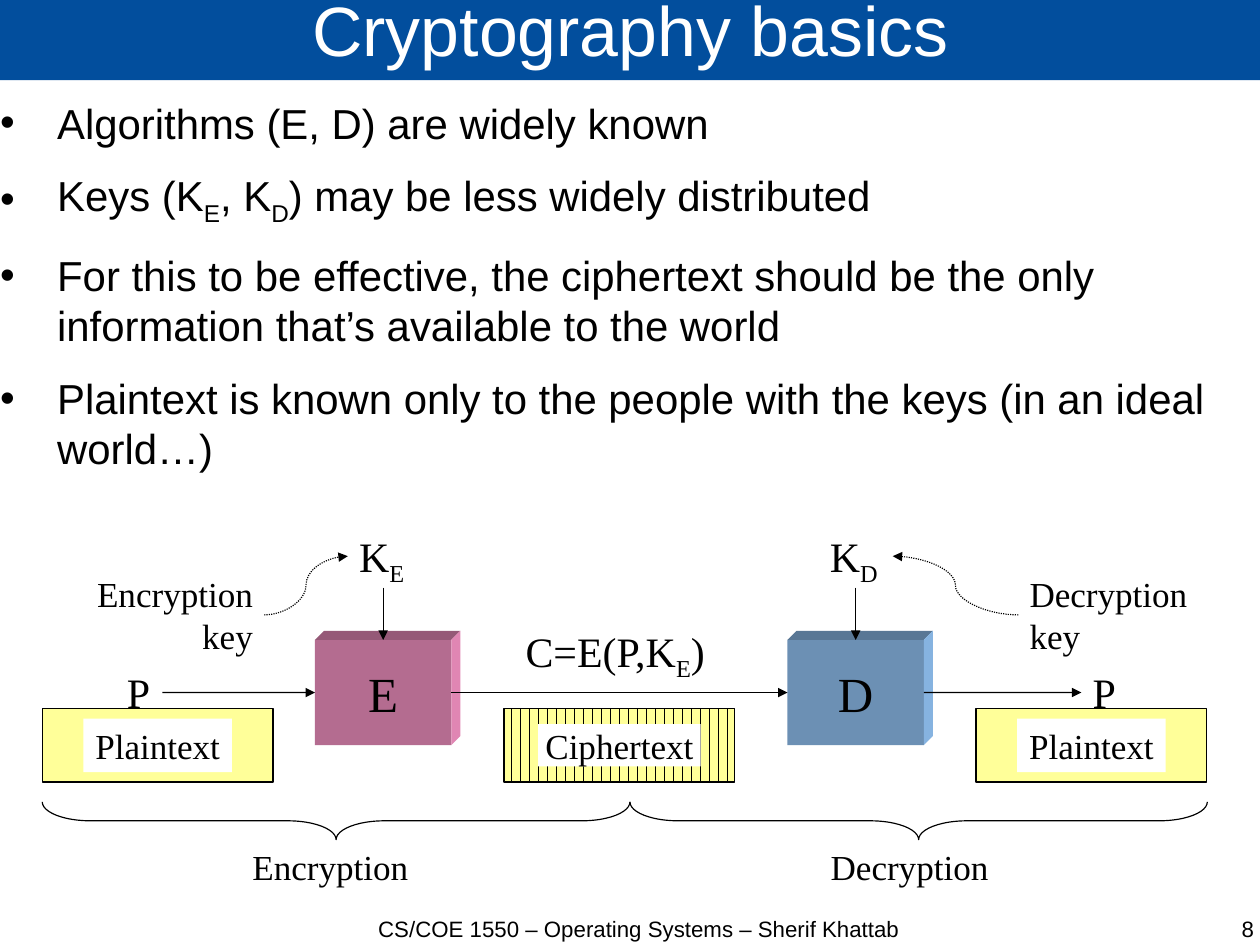
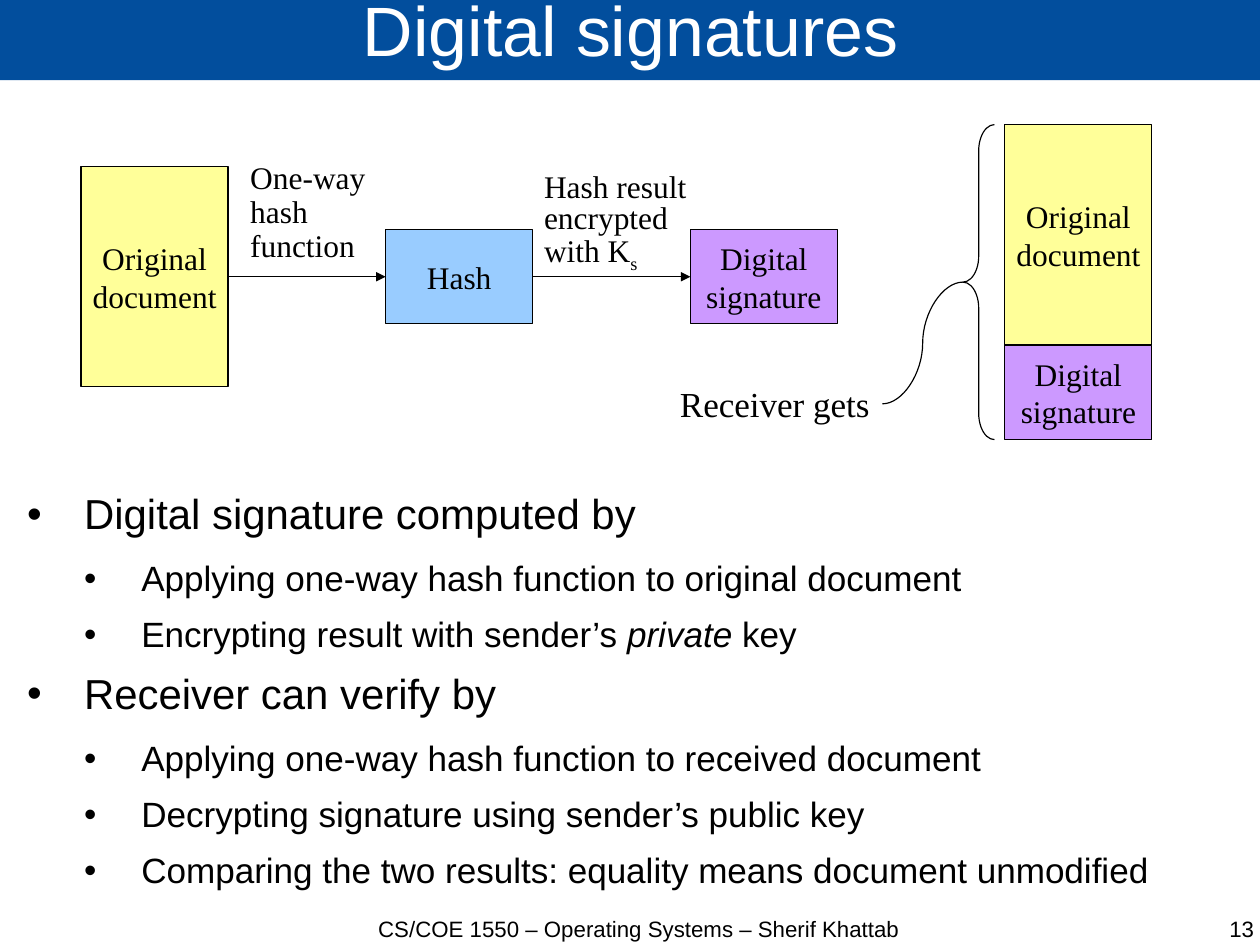
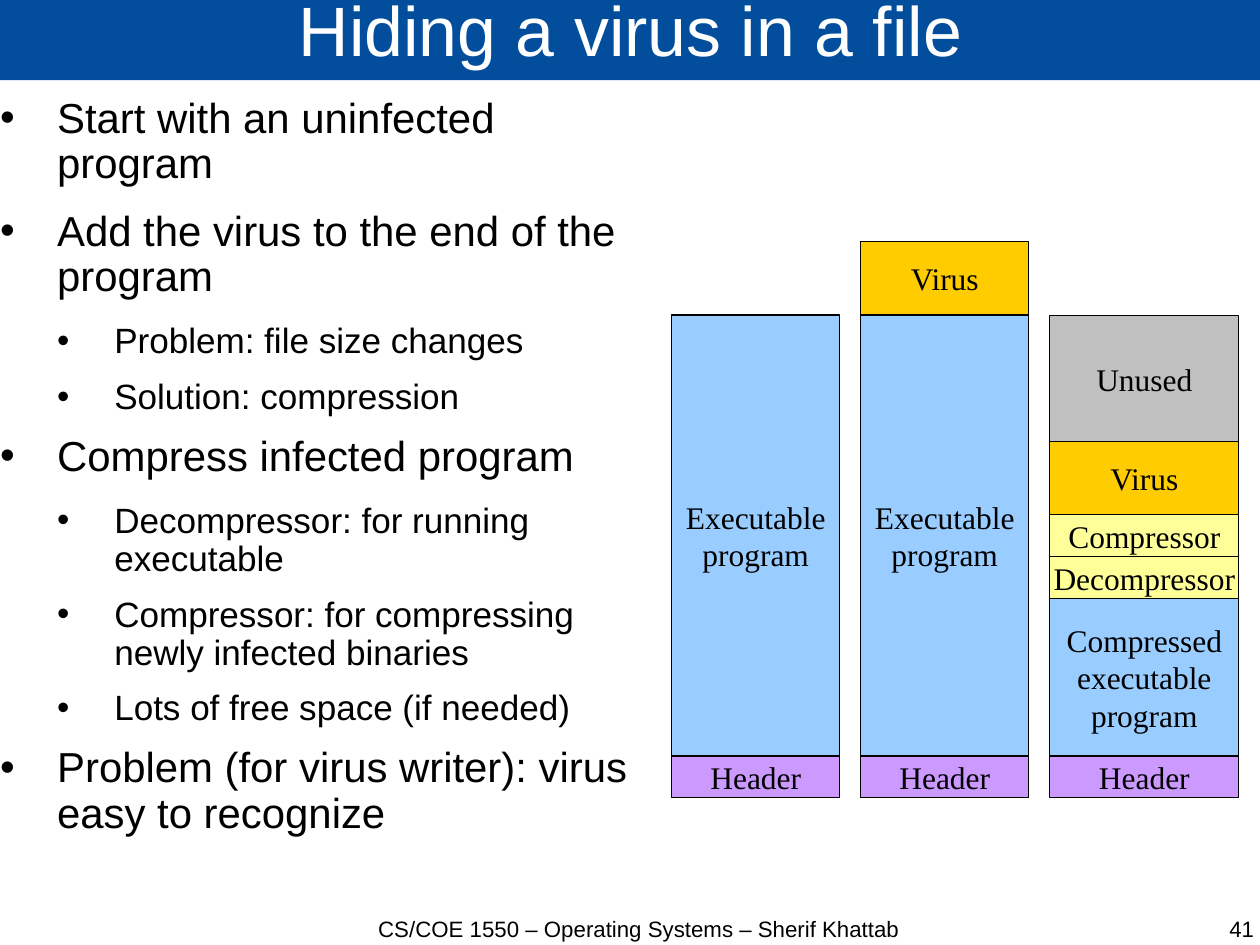
from lxml import etree
from pptx import Presentation
from pptx.dml.color import RGBColor
from pptx.enum.dml import MSO_LINE, MSO_PATTERN
from pptx.enum.shapes import MSO_CONNECTOR, MSO_SHAPE
from pptx.enum.text import MSO_ANCHOR, MSO_AUTO_SIZE, PP_ALIGN
from pptx.oxml.ns import qn
from pptx.util import Cm, Pt

LEFT, CENTER, RIGHT = PP_ALIGN.LEFT, PP_ALIGN.CENTER, PP_ALIGN.RIGHT
TOP, MIDDLE = MSO_ANCHOR.TOP, MSO_ANCHOR.MIDDLE
FIXED, GROW = MSO_AUTO_SIZE.NONE, MSO_AUTO_SIZE.SHAPE_TO_FIT_TEXT
STRAIGHT, CURVE = MSO_CONNECTOR.STRAIGHT, MSO_CONNECTOR.CURVE
RECTANGLE, LEFT_BRACE = MSO_SHAPE.RECTANGLE, MSO_SHAPE.LEFT_BRACE
DOTTED, STRIPES = MSO_LINE.ROUND_DOT, MSO_PATTERN.DARK_VERTICAL
SITE_TOP, SITE_LEFT, SITE_BOTTOM, SITE_RIGHT = range(4)

BLACK = RGBColor(0x00, 0x00, 0x00)
WHITE = RGBColor(0xFF, 0xFF, 0xFF)
BAND_BLUE = RGBColor(0x02, 0x4E, 0x9D)
YELLOW = RGBColor(0xFF, 0xFF, 0x99)
SKY = RGBColor(0x99, 0xCC, 0xFF)
VIOLET = RGBColor(0xCC, 0x99, 0xFF)
GOLD = RGBColor(0xFF, 0xCC, 0x00)
GREY = RGBColor(0xC0, 0xC0, 0xC0)
# Front, top and side of each solid block
PINK_FACES = (RGBColor(0xB4, 0x6C, 0x90), RGBColor(0x95, 0x59, 0x77), RGBColor(0xE0, 0x86, 0xB3))
BLUE_FACES = (RGBColor(0x6C, 0x90, 0xB4), RGBColor(0x59, 0x77, 0x95), RGBColor(0x86, 0xB3, 0xE0))

SANS, SERIF = "Arial", "Times New Roman"
FOOTER = "CS/COE 1550 – Operating Systems – Sherif Khattab"
LEVELS = ((26.4, 14.2), (22.1, 11.4))  # text size and space after
SYMBOL, CAPTION, BOX_TEXT = 26.4, 22.1, 19.8

# Content: _x_ is a subscript, *x* is italic; list items are (level, text)
BASICS = [
    (0, "Algorithms (E, D) are widely known"),
    (0, "Keys (K_E_, K_D_) may be less widely distributed"),
    (0, "For this to be effective, the ciphertext should be the only information "
        "that’s available to the world"),
    (0, "Plaintext is known only to the people with the keys (in an ideal world…)"),
]
SIGNATURES = [
    (0, "Digital signature computed by"),
    (1, "Applying one-way hash function to original document"),
    (1, "Encrypting result with sender’s *private* key"),
    (0, "Receiver can verify by"),
    (1, "Applying one-way hash function to received document"),
    (1, "Decrypting signature using sender’s public key"),
    (1, "Comparing the two results: equality means document unmodified"),
]
HIDING = [
    (0, "Start with an uninfected program"),
    (0, "Add the virus to the end of the program"),
    (1, "Problem: file size changes"),
    (1, "Solution: compression"),
    (0, "Compress infected program"),
    (1, "Decompressor: for running executable"),
    (1, "Compressor: for compressing newly infected binaries"),
    (1, "Lots of free space (if needed)"),
    (0, "Problem (for virus writer): virus easy to recognize"),
]
# File layouts: width, then parts from the bottom up (text, height, colour)
HEADER = ("Header", 0.93, VIOLET)
PROGRAM = ("Executable\nprogram", 9.8, SKY)
VIRUS = ("Virus", 1.63, GOLD)
FILES = [
    (3.73, [HEADER, PROGRAM]),
    (3.73, [HEADER, PROGRAM, VIRUS]),
    (4.2, [HEADER, ("Compressed\nexecutable\nprogram", 3.5, SKY),
           ("Decompressor", 0.93, YELLOW), ("Compressor", 0.93, YELLOW),
           VIRUS, ("Unused", 2.8, GREY)]),
]


def write(paragraph, text, size, font=SERIF, color=BLACK, align=LEFT, spacing=None):
    """Fill a paragraph, turning the marks into subscripts and italics."""
    paragraph.alignment = align
    if spacing:
        paragraph.line_spacing = spacing
    for row, line in enumerate(text.split("\n")):
        if row:
            paragraph.add_line_break()
        for i, part in enumerate(line.split("_")):
            for j, piece in enumerate(part.split("*")):
                if not piece:
                    continue
                run = paragraph.add_run()
                run.text = piece
                run.font.size, run.font.name = Pt(size), font
                run.font.color.rgb = color
                if i % 2:
                    run.font._element.set("baseline", "-25000")
                if j % 2:
                    run.font.italic = True


def set_frame(frame, wrap, anchor=TOP, fit=FIXED, inset=None):
    frame.word_wrap, frame.vertical_anchor, frame.auto_size = wrap, anchor, fit
    if inset is not None:
        frame.margin_left = frame.margin_right = Cm(inset)
        frame.margin_top = frame.margin_bottom = 0


def place(shape, left, top, width, height):
    shape.left, shape.top, shape.width, shape.height = map(Cm, (left, top, width, height))


def label(slide, left, top, width, height, text, size, **style):
    text_box = slide.shapes.add_textbox(*map(Cm, (left, top, width, height)))
    set_frame(text_box.text_frame, False, fit=GROW)
    write(text_box.text_frame.paragraphs[0], text, size, **style)
    return text_box


def outline(shape, color=BLACK):
    shape.shadow.inherit = False
    if color is None:
        shape.line.fill.background()
    else:
        shape.line.color.rgb, shape.line.width = color, Pt(0.75)


def box(slide, left, top, width, height, fill, text="", size=BOX_TEXT, border=BLACK):
    rectangle = slide.shapes.add_shape(RECTANGLE, *map(Cm, (left, top, width, height)))
    rectangle.fill.solid()
    rectangle.fill.fore_color.rgb = fill
    outline(rectangle, border)
    if text:
        set_frame(rectangle.text_frame, False, MIDDLE)
        write(rectangle.text_frame.paragraphs[0], text, size, align=CENTER)
    return rectangle


def brace(slide, left, top, width, height, bend, rotation=0):
    curly = slide.shapes.add_shape(LEFT_BRACE, *map(Cm, (left, top, width, height)))
    curly.rotation, curly.adjustments[0] = rotation, bend
    curly.fill.background()
    outline(curly)
    return curly


def site_point(shape, site):
    across, down = ((0.5, 0), (0, 0.5), (0.5, 1), (1, 0.5))[site]
    return int(shape.left + across * shape.width), int(shape.top + down * shape.height)


def link(slide, start, start_site, end, end_site, kind=STRAIGHT, arrow=True):
    """Draw a line between two side middles; straight ones are joined."""
    line = slide.shapes.add_connector(
        kind, *site_point(start, start_site), *site_point(end, end_site))
    line.line.color.rgb, line.line.width = BLACK, Pt(0.75)
    if kind == STRAIGHT:
        line.begin_connect(start, start_site)
        line.end_connect(end, end_site)
    elif arrow:
        line.line.dash_style = DOTTED
    if arrow:
        etree.SubElement(line.line._get_or_add_ln(), qn("a:tailEnd"), type="triangle")
    etree.SubElement(line._element.spPr, qn("a:effectLst"))


def new_slide(deck, title, number, items, body_at, spacing=None):
    """Title band, bulleted body, footer and slide number."""
    slide = deck.slides.add_slide(deck.slide_layouts[1])
    band, body = slide.shapes.title, slide.placeholders[1]
    place(band, 0, -0.05, 28.04, 1.83)
    band.fill.solid()
    band.fill.fore_color.rgb = BAND_BLUE
    set_frame(band.text_frame, True, MIDDLE, inset=0)
    write(band.text_frame.paragraphs[0], title, 44, SANS, WHITE, CENTER, 0.69)

    place(body, *body_at)
    set_frame(body.text_frame, True, inset=0)
    for i, (level, text) in enumerate(items):
        item = body.text_frame.add_paragraph() if i else body.text_frame.paragraphs[0]
        size, after = LEVELS[level]
        item.level, item.space_before, item.space_after = level, 0, Pt(after)
        write(item, text, size, SANS, spacing=spacing)
        properties = item._p.get_or_add_pPr()
        properties.set("marL", str(Cm(1.27 * (level + 1))))
        properties.set("indent", str(-Cm(1.27)))
        etree.SubElement(properties, qn("a:buChar"), char="•")

    for left, width, text, align in ((7.8, 12.8, FOOTER, CENTER),
                                     (21.44, 6.43, number, RIGHT)):
        note = slide.shapes.add_textbox(*map(Cm, (left, 20.35, width, 0.65)))
        set_frame(note.text_frame, True, inset=0)
        write(note.text_frame.paragraphs[0], text, 14, SANS, align=align)
    return slide


def solid_block(slide, left, text, faces):
    """Front face with a narrow top and right side."""
    top, width, height, depth = 14.22, 3.03, 2.34, 0.2
    right, bottom = left + width, top + height
    front = box(slide, left, top, width, height, faces[0], text, 30.9, None)
    back_corner = (right + depth, top - depth)
    sides = (
        [(left, top), (left + depth, top - depth), back_corner, (right, top)],
        [(right, top), back_corner, (right + depth, bottom - depth), (right, bottom)],
    )
    for corners, color in zip(sides, faces[1:]):
        points = [(Cm(x), Cm(y)) for x, y in corners]
        builder = slide.shapes.build_freeform(*points[0])
        builder.add_line_segments(points[1:])
        side = builder.convert_to_shape()
        side.fill.solid()
        side.fill.fore_color.rgb = color
        outline(side, None)
    return front


def text_strip(slide, left, text, width, height, striped=False):
    """Bordered strip with a white name plate at its centre."""
    top, strip_width, strip_height = 15.75, 5.13, 1.63
    strip = box(slide, left, top, strip_width, strip_height, YELLOW)
    if striped:
        strip.fill.patterned()
        strip.fill.pattern = STRIPES
        strip.fill.fore_color.rgb, strip.fill.back_color.rgb = YELLOW, BLACK
    plate = box(slide, left + (strip_width - width) / 2, top + (strip_height - height) / 2,
                width, height, WHITE, text, CAPTION, None)
    set_frame(plate.text_frame, False, MIDDLE, inset=0.15)


def cryptography_slide(deck):
    slide = new_slide(deck, "Cryptography basics", "8", BASICS, (0, 2.16, 28.04, 18.08))
    encrypt = solid_block(slide, 7, "E", PINK_FACES)
    decrypt = solid_block(slide, 17.5, "D", BLUE_FACES)

    # Symbols and flow
    label(slide, 11.43, 13.77, 4.6, 1.4, "C=E(P,K_E_)", SYMBOL)
    plain_in = label(slide, 2.57, 14.69, 1.04, 1.4, "P", SYMBOL)
    plain_out = label(slide, 24.03, 14.69, 1.04, 1.4, "P", SYMBOL)
    encryption_key = label(slide, 7.73, 11.66, 1.57, 1.4, "K_E_", SYMBOL)
    decryption_key = label(slide, 18.19, 11.66, 1.65, 1.4, "K_D_", SYMBOL)
    for start, end in ((plain_in, encrypt), (encrypt, decrypt), (decrypt, plain_out)):
        link(slide, start, SITE_RIGHT, end, SITE_LEFT)
    for key, block in ((encryption_key, encrypt), (decryption_key, decrypt)):
        link(slide, key, SITE_BOTTOM, block, SITE_TOP)

    # Text strips
    text_strip(slide, 0.94, "Plaintext", 3.3, 1.19)
    text_strip(slide, 11.2, "Ciphertext", 3.61, 0.94, striped=True)
    text_strip(slide, 21.69, "Plaintext", 3.3, 1.19)

    # Phases: a brace turned to lie under the strips
    thickness, middle = 0.84, 18.24
    for left, right, name, name_left in ((0.94, 14, "Encryption", 5.36),
                                         (14, 26.83, "Decryption", 18.21)):
        length = right - left
        brace(slide, (left + right - thickness) / 2, middle - length / 2,
              thickness, length, 1.28, 270)
        label(slide, name_left, 18.67, 4.2, 1.19, name, CAPTION)

    # Key names
    encryption_name = label(slide, 1.88, 12.6, 3.99, 2.13, "Encryption\nkey", CAPTION, align=RIGHT)
    decryption_name = label(slide, 22.63, 12.6, 4.04, 2.13, "Decryption\nkey", CAPTION)
    link(slide, encryption_name, SITE_RIGHT, encryption_key, SITE_LEFT, CURVE)
    link(slide, decryption_name, SITE_LEFT, decryption_key, SITE_RIGHT, CURVE)


def signature_slide(deck):
    slide = new_slide(deck, "Digital signatures", "13", SIGNATURES,
                      (0.6, 10.97, 27.4, 9.3), 0.9)
    width, tall, low = 3.27, 4.9, 2.1
    first, step, middle = 1.8, 6.77, 6.15

    # Signing steps, centred on one line
    steps = [("Original\ndocument", tall, YELLOW), ("Hash", low, SKY),
             ("Digital\nsignature", low, VIOLET)]
    boxes = [box(slide, first + i * step, middle - height / 2, width, height, fill, text)
             for i, (text, height, fill) in enumerate(steps)]
    for start, end in zip(boxes, boxes[1:]):
        link(slide, start, SITE_RIGHT, end, SITE_LEFT)
    label(slide, 5.31, 3.48, 3.1, 2.54, "One-way\nhash\nfunction", BOX_TEXT, spacing=0.9)
    label(slide, 11.84, 3.76, 3.71, 2.29, "Hash result\nencrypted\nwith K_s_", BOX_TEXT,
          spacing=0.8)

    # What the receiver gets
    top = 2.77
    for text, height, fill in (steps[0], steps[2]):
        box(slide, 22.33, top, width, height, fill, text)
        top += height
    receiver = label(slide, 14.86, 8.38, 4.75, 1.19, "Receiver gets", CAPTION)
    package_brace = brace(slide, 21.4, 2.77, 0.7, tall + low, 0.83)
    link(slide, receiver, SITE_RIGHT, package_brace, SITE_LEFT, CURVE, arrow=False)


def virus_slide(deck):
    slide = new_slide(deck, "Hiding a virus in a file", "41", HIDING,
                      (0, 2.16, 14.1, 18.08), 0.9)
    for i, (width, parts) in enumerate(FILES):
        top = 17.73
        for text, height, fill in parts:
            top -= height
            box(slide, 14.93 + i * 4.2, top, width, height, fill, text)


def main():
    deck = Presentation()
    deck.slide_width, deck.slide_height = Cm(28), Cm(21)
    cryptography_slide(deck)
    signature_slide(deck)
    virus_slide(deck)
    deck.save("out.pptx")


if __name__ == "__main__":
    main()
